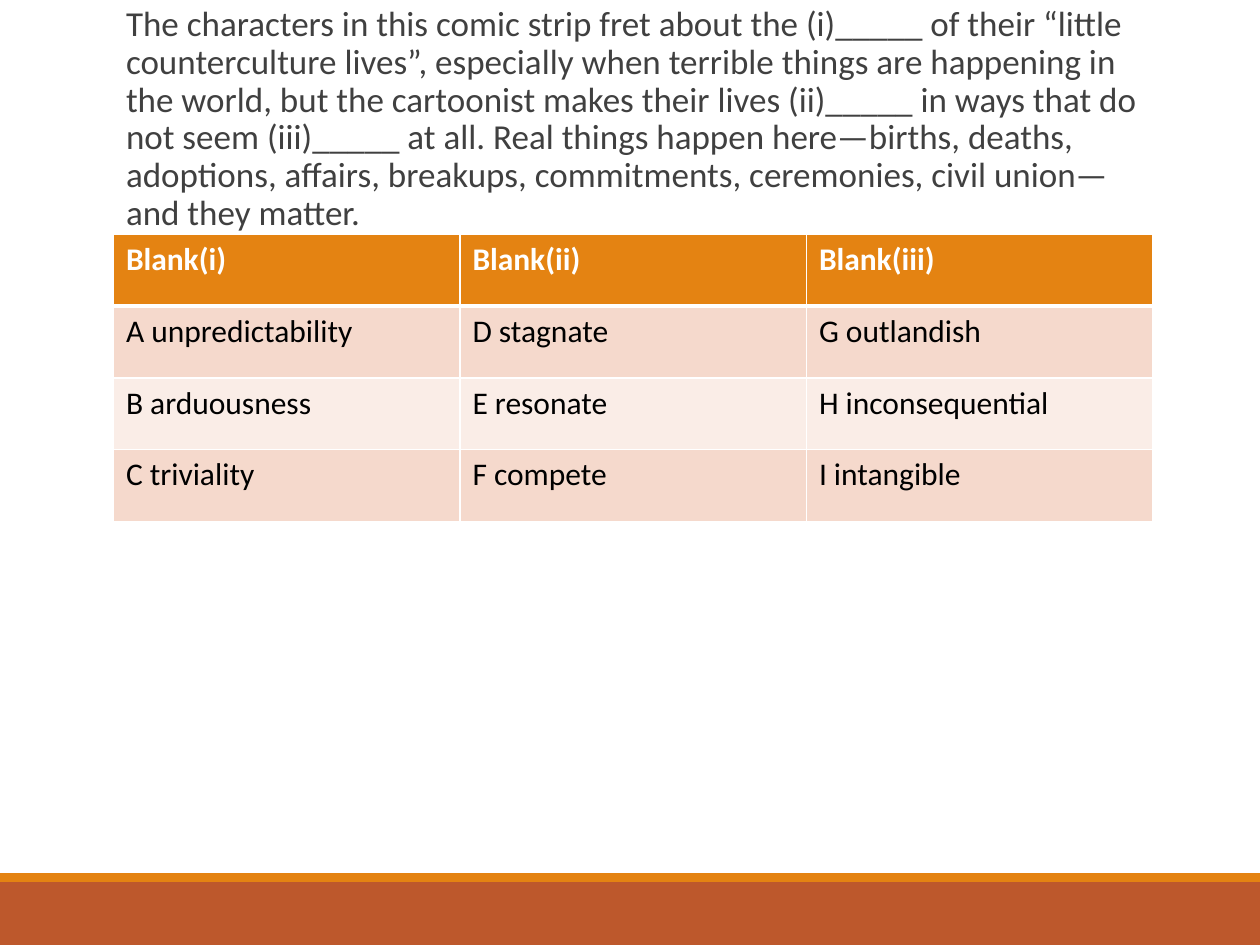
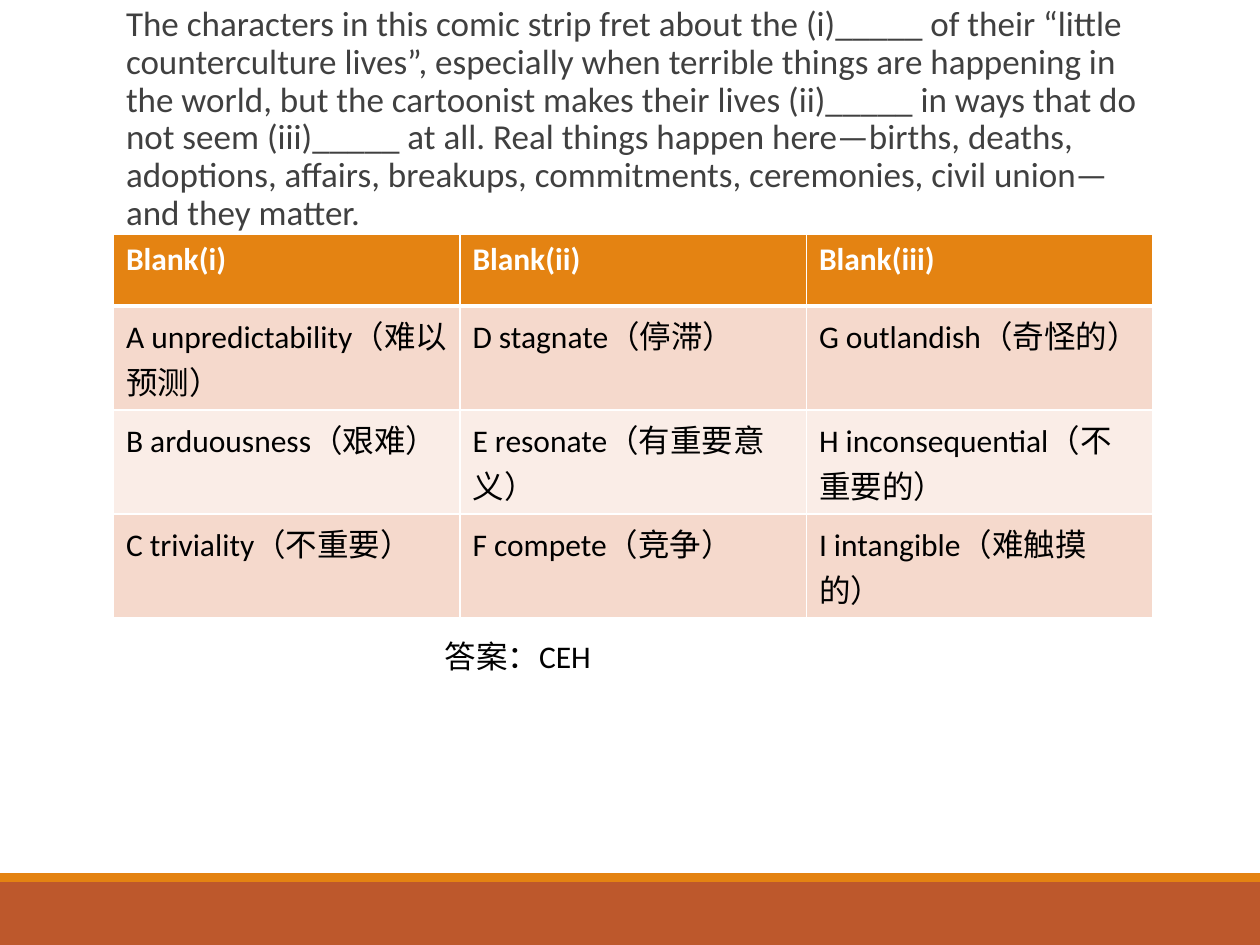
from lxml import etree
from pptx import Presentation
from pptx.dml.color import RGBColor
from pptx.enum import shapes, text
from pptx.oxml import ns
from pptx.util import Pt

PX = 9144  # 100 px to the inch
ORANGE, RUST, WHITE, BLACK = "E48312", "BD582C", "FFFFFF", "000000"
GREY, CHARCOAL, PEACH, PALE = "808080", "404040", "F5D9CC", "FAEDE7"
LEFT, WIDTH = 90, 825

QUESTION = (
    "The characters in this comic strip fret about the (i)_____ of their “little "
    "counterculture lives”, especially when terrible things are happening in the world, "
    "but the cartoonist makes their lives (ii)_____ in ways that do not seem (iii)_____ "
    "at all. Real things happen here—births, deaths, adoptions, affairs, breakups, "
    "commitments, ceremonies, civil union—and they matter."
)
HEADINGS = ["Blank(i)", "Blank(ii)", "Blank(iii)"]
CHOICES = [
    ["A unpredictability", "D stagnate", "G outlandish"],
    ["B arduousness", "E resonate", "H inconsequential"],
    ["C triviality", "F compete", "I intangible"],
]
MEANINGS = [
    ["（难以预测）", "（停滞）", "（奇怪的）"],
    ["（艰难）", "（有重要意义）", "（不重要的）"],
    ["（不重要）", "（竞争）", "（难触摸的）"],
]
EXPLAINED = [[choice + meaning for choice, meaning in zip(*rows)]
             for rows in zip(CHOICES, MEANINGS)]


def rgb(value):
    return RGBColor.from_string(value)


def write(frame, words, size, color, bold=False):
    frame.text = words
    font = frame.paragraphs[0].runs[0].font
    font.name, font.size, font.bold = "Calibri", Pt(size), bold
    font.color.rgb = rgb(color)


prs = Presentation()
prs.slide_width, prs.slide_height = 1000 * PX, 750 * PX
layout = prs.slide_layouts[1]
slides = [prs.slides.add_slide(layout) for _ in range(2)]

# Shared footer bands and rule, moved to the master
master_tree = prs.slide_master.shapes.element
for top, height, color in [(700, 50, RUST), (693, 7, ORANGE)]:
    band = slides[0].shapes.add_shape(
        shapes.MSO_SHAPE.RECTANGLE, 0, top * PX, 1000 * PX, height * PX)
    band.shadow.inherit = False
    band.fill.solid()
    band.fill.fore_color.rgb = rgb(color)
    band.line.fill.background()
    master_tree.append(band.element)

rule = slides[0].shapes.add_connector(
    shapes.MSO_CONNECTOR.STRAIGHT, 98 * PX, 190 * PX, 915 * PX, 190 * PX)
rule.line.color.rgb = rgb(GREY)
rule.line.width = Pt(0.5)
etree.SubElement(rule.element.spPr, ns.qn("a:effectLst"))
master_tree.append(rule.element)

for slide, choices in zip(slides, [CHOICES, EXPLAINED]):
    # Question
    heading = slide.shapes.title.element
    heading.getparent().remove(heading)
    question = slide.placeholders[1]
    question.left, question.top = LEFT * PX, 0
    question.width, question.height = WIDTH * PX, 642 * PX
    frame = question.text_frame
    write(frame, QUESTION, 20, CHARCOAL)
    frame.auto_size = text.MSO_AUTO_SIZE.NONE
    frame.vertical_anchor = text.MSO_ANCHOR.TOP
    frame.margin_left = frame.margin_right = 0
    frame.margin_top = frame.margin_bottom = 5 * PX
    paragraph = frame.paragraphs[0]
    paragraph.line_spacing = 0.9
    paragraph.space_before, paragraph.space_after = Pt(12), Pt(2)
    props = paragraph._p.get_or_add_pPr()
    props.set("marL", str(10 * PX))
    props.set("indent", str(-10 * PX))
    bullet_color = etree.SubElement(props, ns.qn("a:buClr"))
    etree.SubElement(bullet_color, ns.qn("a:srgbClr"), val=ORANGE)
    etree.SubElement(props, ns.qn("a:buChar"), char=" ")

    # Answer choices, one column for each blank
    table = slide.shapes.add_table(
        4, 3, LEFT * PX, 186 * PX, WIDTH * PX, 4 * 57 * PX).table
    for r, row in enumerate([HEADINGS] + choices):
        for c, words in enumerate(row):
            cell = table.cell(r, c)
            write(cell.text_frame, words, 18, BLACK if r else WHITE, bold=r == 0)
            cell_props = cell._tc.get_or_add_tcPr()
            for side in "LRTB":
                thick = (r, side) in [(0, "B"), (1, "T")]
                border = etree.SubElement(
                    cell_props, ns.qn("a:ln" + side), w=str(Pt(3 if thick else 1)))
                paint = etree.SubElement(border, ns.qn("a:solidFill"))
                etree.SubElement(paint, ns.qn("a:srgbClr"), val=WHITE)
            cell.fill.solid()
            cell.fill.fore_color.rgb = rgb([ORANGE, PEACH, PALE, PEACH][r])

# Answer
answer = slides[1].shapes.add_textbox(343 * PX, 501 * PX, 291 * PX, 40 * PX).text_frame
answer.word_wrap = True
answer.auto_size = text.MSO_AUTO_SIZE.SHAPE_TO_FIT_TEXT
write(answer, "答案：CEH", 18, BLACK)

prs.save("out.pptx")
